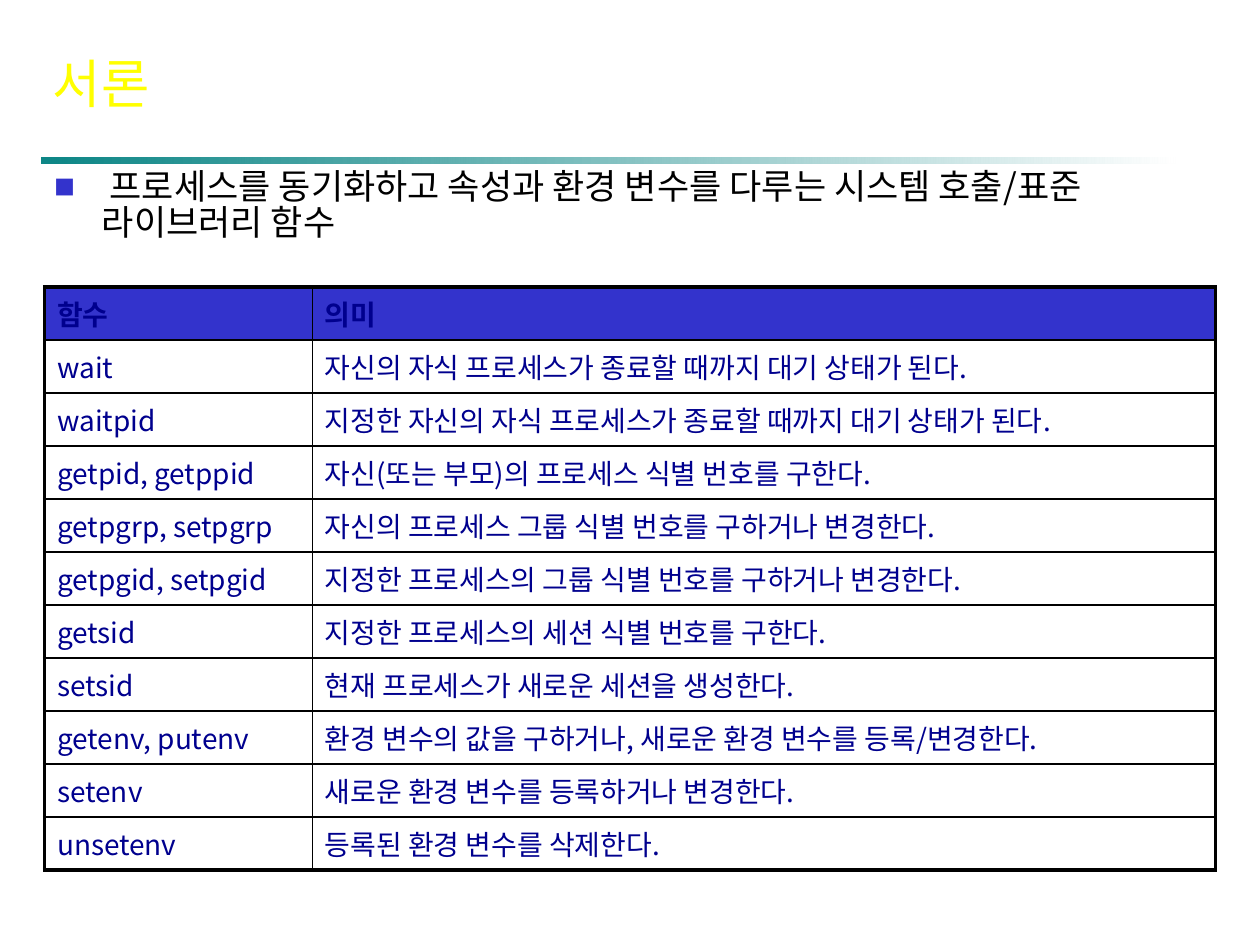
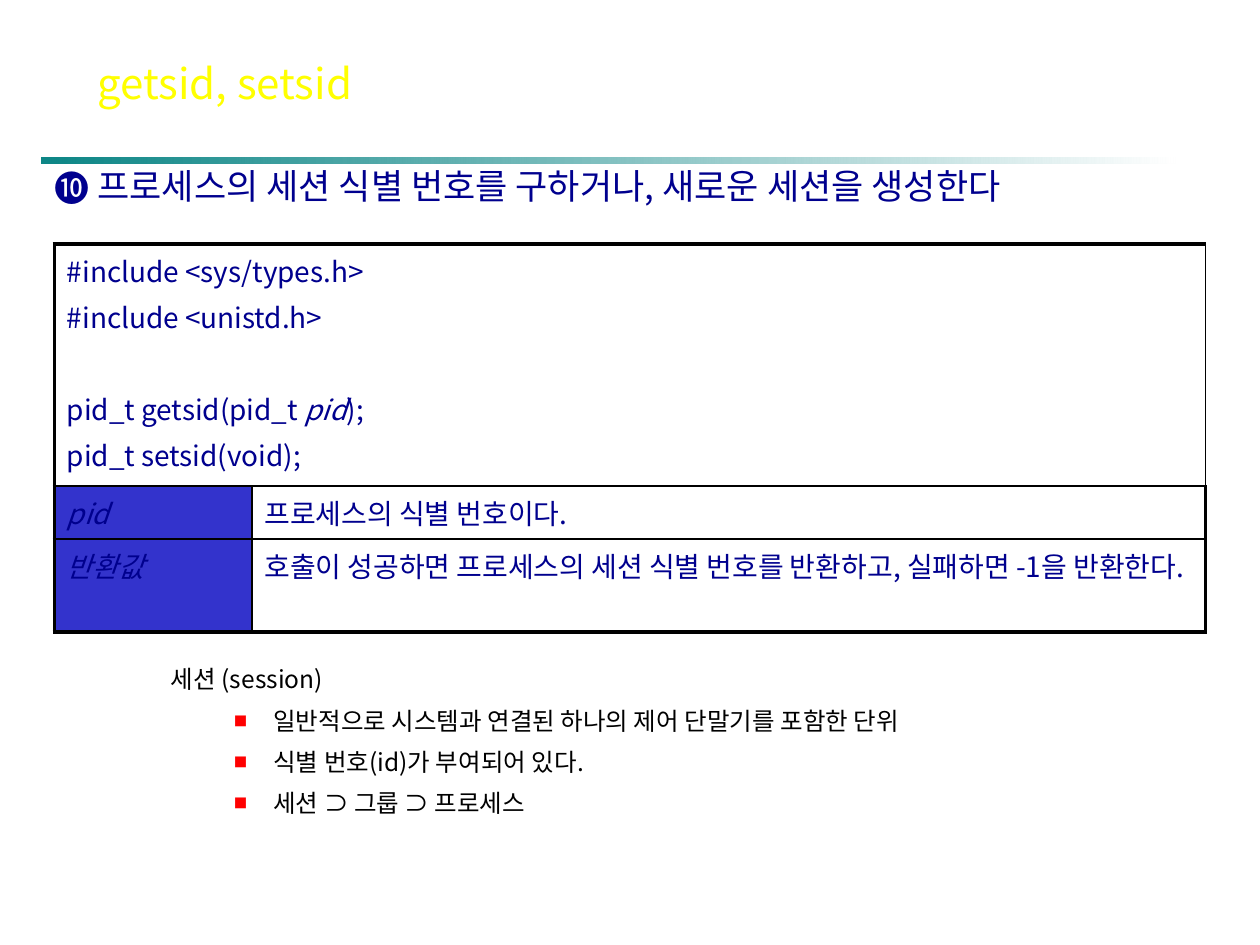
import pptx
import pptx.dml.color
import pptx.enum.shapes
import pptx.enum.text
import pptx.oxml
import pptx.oxml.ns
import pptx.util

Pt = pptx.util.Pt
RGBColor = pptx.dml.color.RGBColor
Anchor = pptx.enum.text.MSO_ANCHOR

# Shared style
FONT = "Noto Sans CJK KR"
YELLOW = RGBColor(0xFF, 0xFF, 0x00)
TEAL = RGBColor(0x00, 0x80, 0x80)
WHITE = RGBColor(0xFF, 0xFF, 0xFF)
BLACK = RGBColor(0x00, 0x00, 0x00)
NAVY = RGBColor(0x00, 0x00, 0x8E)
BLUE = RGBColor(0x33, 0x33, 0xCC)
RED = RGBColor(0xFF, 0x00, 0x00)
OUTER, INNER = 2.25, 1
HEADING_BOX = (24, 94.5, 672)
HEADING = {"size": 20, "line": 0.84}

# Wording
FUNCTIONS = [
    ("함수", "의미"),
    ("wait", "자신의 자식 프로세스가 종료할 때까지 대기 상태가 된다."),
    ("waitpid", "지정한 자신의 자식 프로세스가 종료할 때까지 대기 상태가 된다."),
    ("getpid, getppid", "자신(또는 부모)의 프로세스 식별 번호를 구한다."),
    ("getpgrp, setpgrp", "자신의 프로세스 그룹 식별 번호를 구하거나 변경한다."),
    ("getpgid, setpgid", "지정한 프로세스의 그룹 식별 번호를 구하거나 변경한다."),
    ("getsid", "지정한 프로세스의 세션 식별 번호를 구한다."),
    ("setsid", "현재 프로세스가 새로운 세션을 생성한다."),
    ("getenv, putenv", "환경 변수의 값을 구하거나, 새로운 환경 변수를 등록/변경한다."),
    ("setenv", "새로운 환경 변수를 등록하거나 변경한다."),
    ("unsetenv", "등록된 환경 변수를 삭제한다."),
]
ARGUMENTS = [
    ("pid", "프로세스의 식별 번호이다."),
    ("반환값", "호출이 성공하면 프로세스의 세션 식별 번호를 반환하고, 실패하면 -1을 반환한다."),
]
SESSION_FACTS = [
    "일반적으로 시스템과 연결된 하나의 제어 단말기를 포함한 단위",
    "식별 번호(id)가 부여되어 있다.",
    "세션 ⊃ 그룹 ⊃ 프로세스",
]


def xml(tag, content="", **attributes):
    """Build one DrawingML element."""
    listed = "".join(f' {name}="{value}"' for name, value in attributes.items())
    namespace = pptx.oxml.ns.nsdecls("a")
    return pptx.oxml.parse_xml(f"<a:{tag} {namespace}{listed}>{content}</a:{tag}>")


def solid(color):
    return f'<a:solidFill><a:srgbClr val="{color}"/></a:solidFill>'


class Lecture:
    def __init__(self):
        self.deck = pptx.Presentation()
        self.deck.slide_width, self.deck.slide_height = Pt(720), Pt(540)
        self.page = None

    def place(self, box, left, top, width, height):
        places = {"left": left, "top": top, "width": width, "height": height}
        for name, value in places.items():
            setattr(box, name, Pt(value))

    def add_span(self, para, text, size, color, **formats):
        """Add one formatted run to a paragraph."""
        span = para.add_run()
        span.text = text
        for name, value in {"size": Pt(size), "name": FONT, **formats}.items():
            setattr(span.font, name, value)
        span.font.color.rgb = color
        span.font._element.find(pptx.oxml.ns.qn("a:latin")).addnext(xml("ea", typeface=FONT))
        return span

    def layout(self, para, size, line=1.0, before=None, indent=(0, 0), bullet=None,
               bullet_color=None, bullet_size=100):
        """Set spacing, indents and bullet of a paragraph."""
        para.line_spacing = line
        para.space_before = Pt(size * 0.2 if before is None else before)
        properties = para._p.get_or_add_pPr()
        properties.set("marL", str(Pt(indent[0])))
        properties.set("indent", str(Pt(indent[1])))
        if bullet is None:
            properties.append(xml("buNone"))
            return
        if bullet_color is not None:
            properties.append(xml("buClr", f'<a:srgbClr val="{bullet_color}"/>'))
        properties.append(xml("buSzPct", val=bullet_size * 1000))
        properties.append(xml("buFont", typeface=FONT))
        properties.append(xml("buChar", char=bullet))

    def start_page(self, title, left, size):
        """Add a page with its title and the fading band."""
        self.page = self.deck.slides.add_slide(self.deck.slide_layouts[1])
        box = self.page.shapes.title
        self.place(box, left, 22.5, 467, 49)
        frame = box.text_frame
        formats = {"vertical_anchor": Anchor.MIDDLE, "word_wrap": True,
                   "auto_size": pptx.enum.text.MSO_AUTO_SIZE.NONE}
        for name, value in formats.items():
            setattr(frame, name, value)
        para = frame.paragraphs[0]
        para.alignment = pptx.enum.text.PP_ALIGN.LEFT
        span = self.add_span(para, title, size, YELLOW)
        shadow = xml("effectLst", '<a:outerShdw dist="28575" dir="2700000">'
                                  f'<a:srgbClr val="{BLACK}"/></a:outerShdw>')
        span.font._element.find(pptx.oxml.ns.qn("a:solidFill")).addnext(shadow)
        self.band()

    def band(self):
        band = self.page.shapes.add_shape(
            pptx.enum.shapes.MSO_SHAPE.RECTANGLE, Pt(24), Pt(90), Pt(648), Pt(3.75))
        band.shadow.inherit = False
        band.line.fill.background()
        band.fill.gradient()
        band.fill.gradient_angle = 0
        for stop, color, position in zip(band.fill.gradient_stops, (TEAL, WHITE), (0, 1)):
            stop.color.rgb = color
            stop.position = position
        first = band._element.find(".//" + pptx.oxml.ns.qn("a:srgbClr"))
        first.append(xml("alpha", val=95000))

    def body(self, place, items, size):
        """Fill the body placeholder with (text, layout) items."""
        box = self.page.placeholders[1]
        self.place(box, *place)
        frame = box.text_frame
        frame.auto_size = pptx.enum.text.MSO_AUTO_SIZE.NONE
        for index, (text, settings) in enumerate(items):
            para = frame.add_paragraph() if index else frame.paragraphs[0]
            para.level = 1 if index else 0
            self.layout(para, size, **settings)
            self.add_span(para, text, size, BLACK)

    def heading(self, text, bullet):
        box = self.page.shapes.add_textbox(*map(Pt, (*HEADING_BOX, 34)))
        box.text_frame.word_wrap = True
        para = box.text_frame.paragraphs[0]
        self.layout(para, **HEADING, bullet=bullet)
        self.add_span(para, text, HEADING["size"], NAVY)

    def table(self, left, top, widths, heights):
        """Add a plain table with thick outer and thin inner lines."""
        rows, columns = len(heights), len(widths)
        table = self.page.shapes.add_table(
            rows, columns, Pt(left), Pt(top), Pt(sum(widths)), Pt(sum(heights))).table
        table.first_row = table.horz_banding = False
        for column, width in zip(table.columns, widths):
            column.width = Pt(width)
        for row, height in zip(table.rows, heights):
            row.height = Pt(height)
        for r in range(rows):
            for c in range(columns):
                cell = table.cell(r, c)
                edges = {"lnL": c == 0, "lnR": c == columns - 1,
                         "lnT": r == 0, "lnB": r == rows - 1}
                for side, outside in edges.items():
                    width = Pt(OUTER if outside else INNER)
                    cell._tc.get_or_add_tcPr().append(xml(side, solid(BLACK), w=width))
                cell.fill.background()
        return table

    def fill_cell(self, cell, text, fill=None, **formats):
        if fill is not None:
            cell.fill.solid()
            cell.fill.fore_color.rgb = fill
        para = cell.text_frame.paragraphs[0]
        self.layout(para, 16)
        self.add_span(para, text, 16, NAVY, **formats)

    def code_cell(self, cell, lines):
        """Fill a cell with code lines given as (space before, [(text, italic), ...])."""
        frame = cell.text_frame
        for index, (before, parts) in enumerate(lines):
            para = frame.add_paragraph() if index else frame.paragraphs[0]
            self.layout(para, 16, before=before)
            for text, italic in parts:
                self.add_span(para, text, 16, NAVY, italic=italic)


def introduction(lecture):
    lecture.start_page("서론", 23, 30)
    summary = " 프로세스를 동기화하고 속성과 환경 변수를 다루는 시스템 호출/표준 라이브러리 함수"
    settings = {"line": HEADING["line"], "indent": (27, -27), "bullet": "■",
                "bullet_color": BLUE, "bullet_size": 60}
    lecture.body((*HEADING_BOX, 62.5), [(summary, settings)], HEADING["size"])

    # Function list
    table = lecture.table(25.5, 164, (153, 516), [30.25] * len(FUNCTIONS))
    for r, texts in enumerate(FUNCTIONS):
        for c, text in enumerate(texts):
            lecture.fill_cell(table.cell(r, c), text, None if r else BLUE, bold=r == 0)


def session_calls(lecture):
    lecture.start_page("getsid, setsid", 48.5, 24)
    lecture.heading(" 프로세스의 세션 식별 번호를 구하거나, 새로운 세션을 생성한다", "❿")

    # Signatures and arguments
    table = lecture.table(31, 139.5, (113, 545), (138.25, 30.25, 53.25))
    table.cell(0, 0).merge(table.cell(0, 1))
    lecture.code_cell(table.cell(0, 0), [
        (3.2, [("#include <sys/types.h>", False)]),
        (3.2, [("#include <unistd.h>", False)]),
        (29.5, [("pid_t getsid(pid_t ", False), ("pid", True), (");", False)]),
        (3.2, [("pid_t setsid(void);", False)]),
    ])
    for r, (name, meaning) in enumerate(ARGUMENTS, start=1):
        lecture.fill_cell(table.cell(r, 0), name, BLUE, italic=True)
        lecture.fill_cell(table.cell(r, 1), meaning)

    # Session notes
    fact = {"line": 1.24, "indent": (58.5, -22.5), "bullet": "■",
            "bullet_color": RED, "bullet_size": 55}
    items = [("세션 (session)", {"line": 1.24, "indent": (27, -27)})]
    items += [(text, fact) for text in SESSION_FACTS]
    lecture.body((90.5, 372, 581, 147.5), items, 14)


def main():
    lecture = Lecture()
    introduction(lecture)
    session_calls(lecture)
    lecture.deck.save("out.pptx")


if __name__ == "__main__":
    main()
